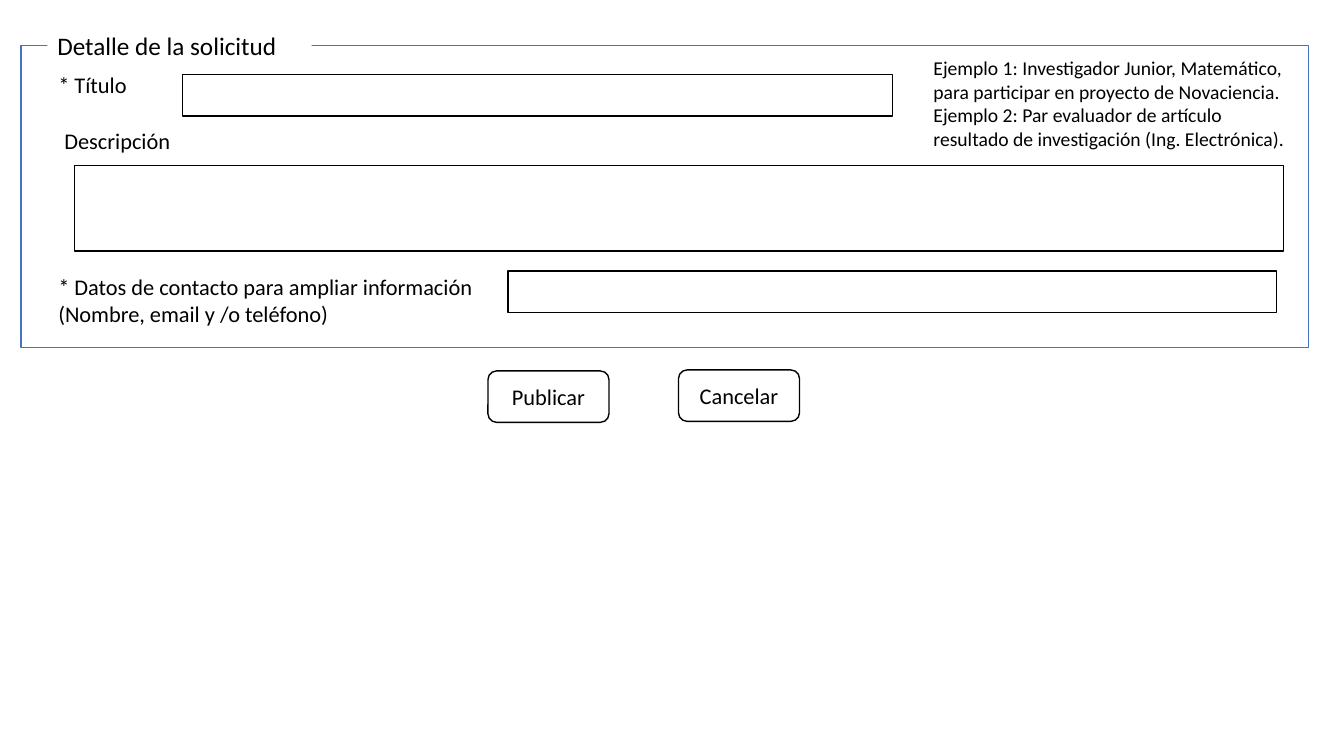
from dataclasses import dataclass

from pptx import Presentation
from pptx.dml.color import RGBColor
from pptx.enum.shapes import MSO_SHAPE
from pptx.enum.text import MSO_ANCHOR, MSO_AUTO_SIZE, PP_ALIGN
from pptx.util import Inches, Pt


@dataclass(frozen=True)
class Theme:
    """Colours, type sizes and grid cell of the form."""
    font: str = "Calibri"
    text: RGBColor = RGBColor(0, 0, 0)
    paper: RGBColor = RGBColor(255, 255, 255)
    frame: RGBColor = RGBColor(0x44, 0x72, 0xC4)
    heading: Pt = Pt(18)
    body: Pt = Pt(16)
    hint: Pt = Pt(14)
    outline: Pt = Pt(1)
    cell: Inches = Inches(0.1)


class FormSlide:
    """Draws form elements on one slide, measured in grid cells."""

    def __init__(self, slide, theme):
        self.slide = slide
        self.theme = theme

    def place(self, *cells):
        """Turn left, top, width and height in cells into lengths."""
        return [round(count * self.theme.cell) for count in cells]

    def set_text(self, shape, lines, size, align=PP_ALIGN.LEFT):
        """Fill a shape with one paragraph per line."""
        frame = shape.text_frame
        frame.text = "\n".join(lines)
        for paragraph in frame.paragraphs:
            paragraph.alignment = align
            paragraph.font.name = self.theme.font
            paragraph.font.size = size
            paragraph.font.color.rgb = self.theme.text
        return frame

    def box(self, cells, line=None, kind=MSO_SHAPE.RECTANGLE):
        """Add a paper-coloured shape, outlined when a line colour is given."""
        shape = self.slide.shapes.add_shape(kind, *self.place(*cells))
        shape.shadow.inherit = False
        shape.fill.solid()
        shape.fill.fore_color.rgb = self.theme.paper
        if line is None:
            shape.line.fill.background()
        else:
            shape.line.color.rgb = line
            shape.line.width = self.theme.outline
        return shape

    def group(self, cells, title_cells, title):
        """Add a framed group whose title interrupts the top edge."""
        self.box(cells, self.theme.frame)
        frame = self.set_text(self.box(title_cells), [title], self.theme.heading)
        frame.vertical_anchor = MSO_ANCHOR.TOP

    def field(self, *cells):
        """Add an empty input field."""
        self.box(cells, self.theme.text)

    def label(self, cells, lines, size=None, wrap=False):
        """Add a label or a hint."""
        text_box = self.slide.shapes.add_textbox(*self.place(*cells))
        frame = self.set_text(text_box, lines, size or self.theme.body)
        frame.word_wrap = wrap
        frame.auto_size = MSO_AUTO_SIZE.SHAPE_TO_FIT_TEXT

    def button(self, left, top, caption):
        """Add a rounded button with a centred caption."""
        shape = self.box((left, top, 12, 5.1), self.theme.text, MSO_SHAPE.ROUNDED_RECTANGLE)
        frame = self.set_text(shape, [caption], self.theme.body, PP_ALIGN.CENTER)
        frame.vertical_anchor = MSO_ANCHOR.MIDDLE


presentation = Presentation()
presentation.slide_width = Inches(13.33)
presentation.slide_height = Inches(7.5)
theme = Theme()
form = FormSlide(presentation.slides.add_slide(presentation.slide_layouts[6]), theme)

form.group((2.1, 4.5, 127.7, 30), (4.7, 2.5, 26.2, 4), "Detalle de la solicitud")

form.label((4.8, 26.6, 43.6, 6.4),
           ["* Datos de contacto para ampliar información", "(Nombre, email y /o teléfono)"])
form.field(50.4, 26.9, 76.2, 4.1)

form.button(48.4, 36.8, "Publicar")
form.button(67.3, 36.7, "Cancelar")

form.label((4.8, 6.6, 8.9, 3.7), ["* Título"])
form.field(18.1, 7.4, 70.4, 4.1)

form.label((5.4, 12.1, 12.6, 3.7), ["Descripción"])
form.field(7.4, 16.4, 119.9, 8.5)

form.label((91.6, 5.1, 38.3, 10.4),
           ["Ejemplo 1: Investigador Junior, Matemático, para participar en proyecto de Novaciencia.",
            "Ejemplo 2: Par evaluador de artículo resultado de investigación (Ing. Electrónica)."],
           theme.hint, wrap=True)

presentation.save("out.pptx")
